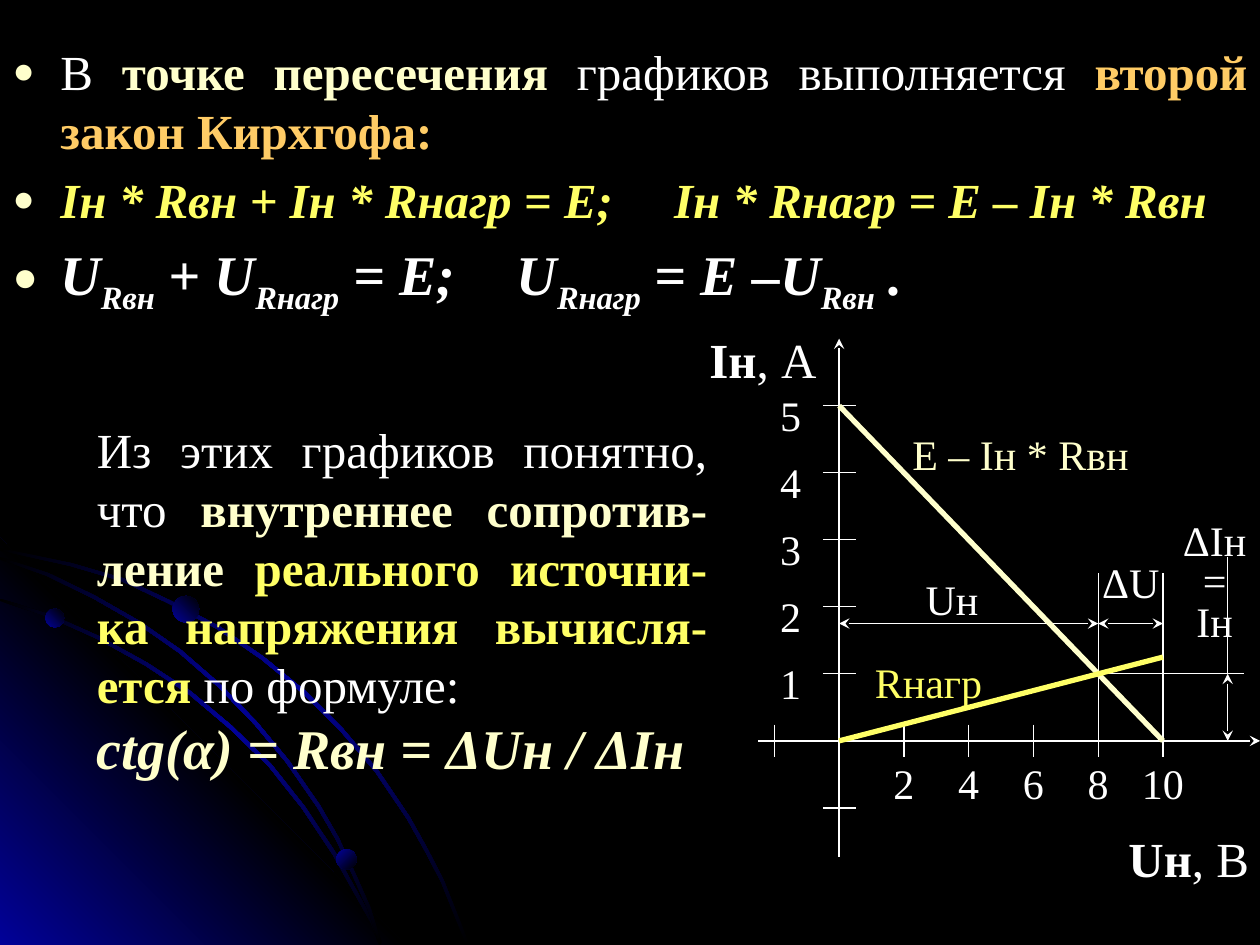
from lxml.etree import SubElement
from pptx import Presentation
from pptx.dml.color import RGBColor
from pptx.enum.shapes import MSO_CONNECTOR as Connector, MSO_SHAPE as Shape
from pptx.enum.text import MSO_ANCHOR as Anchor, MSO_AUTO_SIZE as AutoSize, PP_ALIGN as Align
from pptx.oxml.ns import qn
from pptx.util import Inches, Pt

BLACK = RGBColor(0x00, 0x00, 0x00)
BLUE = RGBColor(0x01, 0x01, 0x99)
WHITE = RGBColor(0xFF, 0xFF, 0xFF)
CREAM = RGBColor(0xFF, 0xFF, 0xCC)
ORANGE = RGBColor(0xFF, 0xCC, 0x66)
YELLOW = RGBColor(0xFF, 0xFF, 0x66)
FONT = "Times New Roman"

LAWS = [
    (Align.JUSTIFY, 28, [("В ", WHITE, ""), ("точке пересечения", CREAM, "b"),
                         (" графиков выполняется ", WHITE, ""),
                         ("второй закон Кирхгофа:", ORANGE, "b")]),
    (Align.LEFT, 28, [("Ін * Rвн + Ін * Rнагр = Е;\u2003 Ін * Rнагр = Е – Ін * Rвн", YELLOW, "bi")]),
    (Align.LEFT, 32, [("U", WHITE, "bi"), ("Rвн", WHITE, "bis"), (" + U", WHITE, "bi"),
                      ("Rнагр", WHITE, "bis"), (" = Е;\tU", WHITE, "bi"),
                      ("Rнагр", WHITE, "bis"), (" = Е –U", WHITE, "bi"),
                      ("Rвн", WHITE, "bis"), (" .", WHITE, "bi")]),
]
CONCLUSION = [
    (Align.JUSTIFY, 28, [("Из этих графиков понятно, что ", WHITE, ""),
                         ("внутреннее сопротив-ление ", CREAM, "b"),
                         ("реального источни-ка напряжения вычисля-ется", YELLOW, "b"),
                         (" по формуле:", WHITE, "")]),
    (Align.JUSTIFY, 32, [("ctg(α) = Rвн = ΔUн / ΔІн", CREAM, "bi")]),
]
AXIS_TITLES = [
    ((5.63, 2.57, 0.9, 0.53), Align.LEFT, "Iн", ", А"),
    ((8.87, 6.53, 1.13, 0.53), Align.CENTER, "Uн", ", В"),
]
LABELS = [
    ("E – Iн * Rвн", (7.17, 3.4, 1.86, 0.5), CREAM),
    ("Rнагр", (6.79, 5.21, 1.16, 0.4), YELLOW),
    ("Uн", (7.17, 4.55, 0.77, 0.4), WHITE),
    ("ΔU", (8.59, 4.42, 0.77, 0.4), WHITE),
]
VOLT_TICKS = [-2, 2, 4, 6, 8, 10]
AMP_TICKS = [-1, 0, 1, 2, 3, 4, 5]
AXES = [((0, -1.73), (0, 6)), ((-2.5, 0), (13, 0))]
GUIDES = [((8, 2.5), (8, 0)), ((10, 2.5), (10, 0)), ((8, 1), (12.5, 1)), ((12, 2.75), (12, 1))]
DIMENSIONS = [((0, 1.75), (8, 1.75)), ((8, 1.75), (10, 1.75)), ((12, 1), (12, 0))]
GRAPHS = [((10, 0), (0, 5), CREAM), ((0, 0), (10, 1.25), YELLOW)]

ORBITS = [
    [(0, 4.35), (0.57, 4.47), (0.98, 4.59), (1.36, 4.77), (1.74, 4.97), (2.09, 5.21),
     (2.42, 5.48), (2.72, 5.78), (3, 6.11), (3.25, 6.48), (3.39, 6.73), (3.52, 6.98),
     (3.62, 7.23), (3.72, 7.48)],
    [(0, 4.75), (0.41, 4.88), (0.79, 5.05), (1.17, 5.26), (1.52, 5.49), (1.84, 5.76),
     (2.15, 6.06), (2.42, 6.4), (2.66, 6.76), (2.86, 7.12), (2.96, 7.3), (3.03, 7.48)],
    [(0, 4.42), (0.39, 4.55), (0.76, 4.73), (1.11, 4.93), (1.44, 5.16), (1.75, 5.43),
     (2.04, 5.73), (2.29, 6.03), (2.54, 6.39), (2.69, 6.65), (2.82, 6.93), (2.94, 7.2),
     (3.03, 7.48)],
]
ORBIT_WIDTH = 0.02
PLANETS = [(0.36, 4.83, 0.15, 315), (2.67, 6.74, 0.16, 45), (1.37, 4.73, 0.21, 315)]

ORIGIN_X, ORIGIN_Y = 6.66, 5.88
VOLT, AMP = 0.257, 0.532
TICK = 0.13

deck = Presentation()
deck.slide_width, deck.slide_height = Inches(10), Inches(7.5)
page = deck.slides.add_slide(deck.slide_layouts[1])
page.background.fill.solid()
page.background.fill.fore_color.rgb = BLACK
title = page.shapes.title
title.element.getparent().remove(title.element)


def lengths(*values):
    return [Inches(value) for value in values]


def shade(shape, colors, angle):
    shape.shadow.inherit = False
    shape.line.fill.background()
    shape.fill.gradient()
    shape.fill.gradient_angle = 360 - angle
    stops = shape.element.spPr.find(".//" + qn("a:gsLst"))
    for stop in list(stops):
        stops.remove(stop)
    for index, color in enumerate(colors):
        stop = SubElement(stops, qn("a:gs"), pos=str(100000 * index // (len(colors) - 1)))
        SubElement(stop, qn("a:srgbClr"), val=str(color))


def write(box, paragraphs):
    frame = box.text_frame
    for index, (align, size, pieces) in enumerate(paragraphs):
        para = frame.paragraphs[0] if index == 0 else frame.add_paragraph()
        para.alignment = align
        for text, color, style in pieces:
            span = para.add_run()
            span.text = text
            font = span.font
            font.name, font.size, font.color.rgb = FONT, Pt(size), color
            font.bold, font.italic = "b" in style, "i" in style
            if "s" in style:
                span._r.get_or_add_rPr().set("baseline", "-25000")


def add_text(bounds, paragraphs, margins=(0.1, 0.05)):
    box = page.shapes.add_textbox(*lengths(*bounds))
    frame = box.text_frame
    frame.word_wrap = True
    frame.margin_left = frame.margin_right = Inches(margins[0])
    frame.margin_top = frame.margin_bottom = Inches(margins[1])
    write(box, paragraphs)
    return box


def add_label(text, bounds, color=WHITE):
    return add_text(bounds, [(Align.CENTER, 24, [(text, color, "")])], (0, 0))


def add_bullet(para, size):
    para.space_before = Pt(size * 0.2)
    settings = para._p.get_or_add_pPr()
    settings.set("marL", str(Inches(0.38)))
    settings.set("indent", str(-Inches(0.38)))
    SubElement(SubElement(settings, qn("a:buClr")), qn("a:srgbClr"), val=str(CREAM))
    SubElement(settings, qn("a:buSzPct"), val="75000")
    SubElement(settings, qn("a:buFont"), typeface="Arial")
    SubElement(settings, qn("a:buChar"), char="●")


def at(volts, amps):
    return ORIGIN_X + volts * VOLT, ORIGIN_Y - amps * AMP


def add_line(start, end, color=WHITE, width=0.75, arrows=()):
    line = page.shapes.add_connector(Connector.STRAIGHT, *lengths(*start, *end))
    line.line.color.rgb = color
    line.line.width = Pt(width)
    for arrow in arrows:
        SubElement(line.line._get_or_add_ln(), qn(arrow), type="stealth")
    SubElement(line._element.spPr, qn("a:effectLst"))


glow = page.shapes.add_shape(Shape.RIGHT_TRIANGLE, *lengths(0, 4.27, 3.22, 3.23))
shade(glow, [BLUE, BLACK, BLUE], 315)
for orbit in ORBITS:
    inner = [(max(0, x - ORBIT_WIDTH), y + ORBIT_WIDTH) for x, y in reversed(orbit)]
    points = [lengths(x, min(y, 7.5)) for x, y in orbit + inner]
    builder = page.shapes.build_freeform(*points[0])
    builder.add_line_segments(points[1:], close=True)
    shade(builder.convert_to_shape(), [BLACK, BLUE, BLACK], 45)
for left, top, size, angle in PLANETS:
    planet = page.shapes.add_shape(Shape.OVAL, *lengths(left, top, size, size))
    shade(planet, [BLUE, BLACK], angle)

body = page.placeholders[1]
body.left, body.top, body.width, body.height = lengths(0, 0.28, 10, 2.44)
body.text_frame.auto_size = AutoSize.NONE
body.text_frame.vertical_anchor = Anchor.TOP
write(body, LAWS)
for para, (_, size, _) in zip(body.text_frame.paragraphs, LAWS):
    add_bullet(para, size)

for start, end in AXES:
    add_line(at(*start), at(*end), arrows=["a:tailEnd"])
for volts in VOLT_TICKS:
    x, y = at(volts, 0)
    add_line((x, y - TICK), (x, y + TICK))
    if volts > 0:
        add_label(str(volts), (x - 0.26, 6.01, 0.52, 0.4))
for amps in AMP_TICKS:
    x, y = at(0, amps)
    add_line((x - TICK, y), (x + TICK, y))
    if amps > 0:
        add_label(str(amps), (6.02, y - 0.13, 0.51, 0.4))
for start, end in GUIDES:
    add_line(at(*start), at(*end))
for start, end in DIMENSIONS:
    add_line(at(*start), at(*end), arrows=["a:headEnd", "a:tailEnd"])
for start, end, color in GRAPHS:
    add_line(at(*start), at(*end), color, 3)

for bounds, align, symbol, unit in AXIS_TITLES:
    add_text(bounds, [(align, 28, [(symbol, WHITE, "b"), (unit, WHITE, "")])], (0, 0.05))
for label in LABELS:
    add_label(*label)
current_drop = add_label("ΔIн = Iн", (9.36, 4.16, 0.56, 1.19))
current_drop.text_frame.paragraphs[0].line_spacing = 0.8
add_text((0.67, 3.28, 5.04, 2.97), CONCLUSION)

deck.save("out.pptx")
